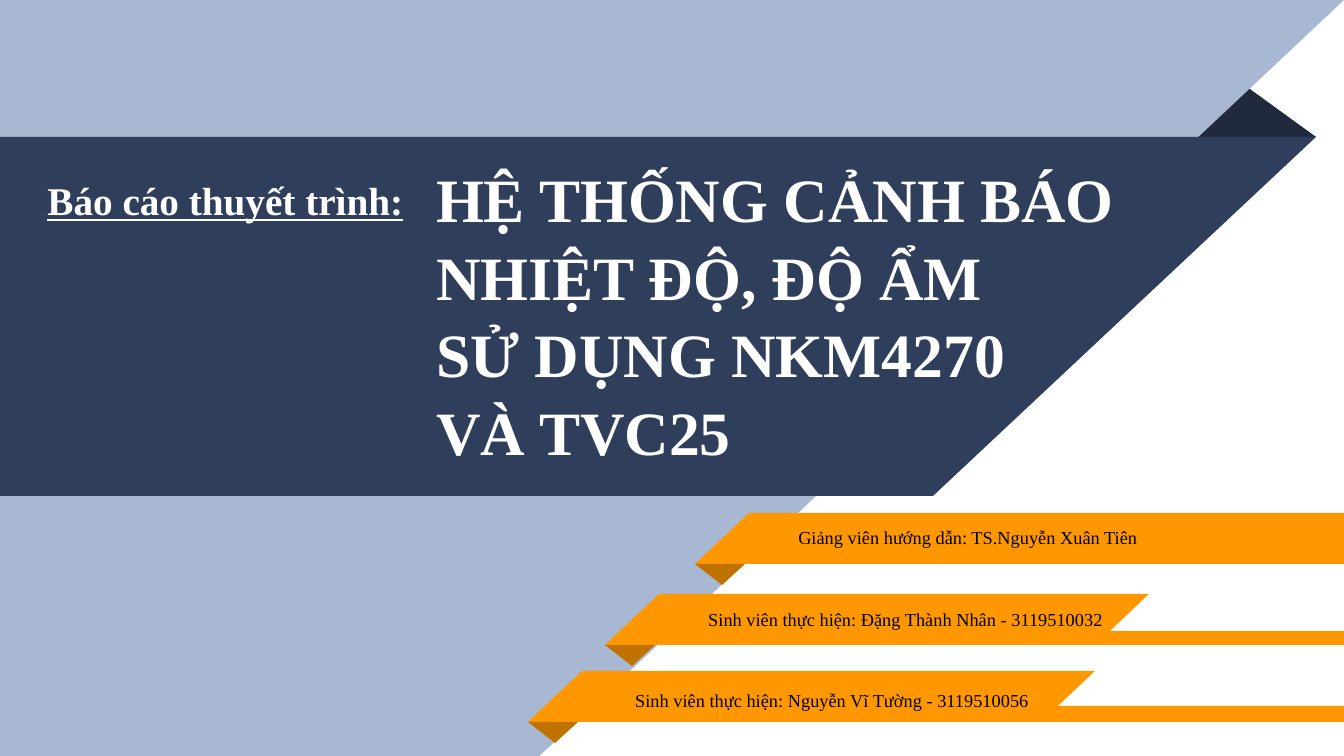
from dataclasses import dataclass

import pptx
import pptx.dml.color
import pptx.enum.shapes
import pptx.enum.text
import pptx.shapes.autoshape
import pptx.slide
import pptx.text.text
import pptx.util

PX = 914400 / 134.4
FONT = "Times New Roman"
COLORS = {
    "sky": "A9B8D2",
    "navy": "2F3E5A",
    "navy_fold": "202A3C",
    "orange": "FF9800",
    "orange_fold": "BF7200",
    "white": "FFFFFF",
    "black": "000000",
}
Point = tuple[int, int]
Box = tuple[int, int, int, int]

BAND_HEIGHT, BAND_LENGTH, BAND_SLANT = 51, 1689, 54
FOLD_WIDTH, FOLD_HEIGHT, FOLD_TIP = 50, 21, 27


@dataclass
class Band:
    """A ribbon; where the tab ends, it narrows by the depth of the step."""
    left: int
    top: int
    caption: str
    caption_box: Box
    tab_end: int = 0
    step: int = 0


BANDS = [
    Band(695, 513, "Giảng viên hướng dẫn: TS.Nguyễn Xuân Tiên", (785, 520, 391, 36)),
    Band(605, 594, "Sinh viên thực hiện: Đặng Thành Nhân - 3119510032",
         (695, 602, 457, 36), 1149, 37),
    Band(528, 671, "Sinh viên thực hiện: Nguyễn Vĩ Tường - 3119510056",
         (622, 683, 457, 36), 1095, 35),
]
TITLE_LINES = ["HỆ THỐNG CẢNH BÁO", "NHIỆT ĐỘ, ĐỘ ẨM", "SỬ DỤNG NKM4270", "VÀ TVC25"]


def px(length: int) -> pptx.util.Emu:
    return pptx.util.Emu(round(length * PX))


def rgb(color: str) -> pptx.dml.color.RGBColor:
    return pptx.dml.color.RGBColor.from_string(COLORS[color])


def paint(shape: pptx.shapes.autoshape.Shape, color: str) -> None:
    shape.fill.solid()
    shape.fill.fore_color.rgb = rgb(color)
    shape.line.fill.background()
    shape.shadow.inherit = False


def add_triangle(slide: pptx.slide.Slide, box: Box, color: str, rotation: int = 0) -> None:
    triangle = slide.shapes.add_shape(
        pptx.enum.shapes.MSO_SHAPE.ISOSCELES_TRIANGLE, *map(px, box))
    triangle.rotation = rotation
    paint(triangle, color)


def add_polygon(slide: pptx.slide.Slide, points: list[Point], color: str) -> None:
    outline = slide.shapes.build_freeform(*points[0], scale=PX)
    outline.add_line_segments(points[1:], close=True)
    paint(outline.convert_to_shape(), color)


def add_run(paragraph: pptx.text.text._Paragraph, text: str, size: float, color: str,
            bold: bool = False, underline: bool = False) -> None:
    run = paragraph.add_run()
    run.text = text
    run.font.name = FONT
    run.font.size = pptx.util.Pt(size)
    run.font.color.rgb = rgb(color)
    run.font.bold = bold
    run.font.underline = underline


def set_insets(frame: pptx.text.text.TextFrame, across: int, down: int) -> None:
    frame.margin_left = frame.margin_right = px(across)
    frame.margin_top = frame.margin_bottom = px(down)


def add_text(slide: pptx.slide.Slide, box: Box) -> pptx.text.text.TextFrame:
    frame = slide.shapes.add_textbox(*map(px, box)).text_frame
    frame.word_wrap = True
    return frame


def place_title(slide: pptx.slide.Slide) -> None:
    title = slide.shapes.title
    title.left, title.top, title.width, title.height = map(px, (427, 188, 1039, 249))
    slide.shapes.element.append(title.element)  # in front of the navy banner
    frame = title.text_frame
    frame.word_wrap = True
    frame.auto_size = pptx.enum.text.MSO_AUTO_SIZE.NONE
    frame.vertical_anchor = pptx.enum.text.MSO_ANCHOR.MIDDLE
    set_insets(frame, 9, 9)
    heading = frame.paragraphs[0]
    heading.alignment = pptx.enum.text.PP_ALIGN.LEFT
    heading.line_spacing = 1.05
    for number, line in enumerate(TITLE_LINES):
        if number:
            heading.add_line_break()
        add_run(heading, line, 33, "white", bold=True)


def add_band(slide: pptx.slide.Slide, band: Band) -> None:
    right, bottom = band.left + BAND_LENGTH, band.top + BAND_HEIGHT
    outline = [(band.left, bottom), (band.left + BAND_SLANT, band.top)]
    if band.step:
        setback = round(band.step * BAND_SLANT / BAND_HEIGHT)
        outline += [(band.tab_end, band.top),
                    (band.tab_end - setback, band.top + band.step)]
    outline += [(right, band.top + band.step), (right, bottom)]
    add_polygon(slide, outline, "orange")
    add_polygon(slide, [(band.left, bottom), (band.left + FOLD_WIDTH, bottom),
                        (band.left + FOLD_TIP, bottom + FOLD_HEIGHT)], "orange_fold")
    caption = add_text(slide, band.caption_box)
    caption.auto_size = pptx.enum.text.MSO_AUTO_SIZE.SHAPE_TO_FIT_TEXT
    add_run(caption.paragraphs[0], band.caption, 9.8, "black")


def add_report_label(slide: pptx.slide.Slide) -> None:
    frame = add_text(slide, (-203, 148, 857, 81))
    frame.vertical_anchor = pptx.enum.text.MSO_ANCHOR.BOTTOM
    set_insets(frame, 9, 5)
    label = frame.paragraphs[0]
    label.alignment = pptx.enum.text.PP_ALIGN.CENTER
    label.line_spacing = 0.9
    add_run(label, "Báo cáo thuyết trình:", 21, "white", bold=True, underline=True)


def main() -> None:
    deck = pptx.Presentation()
    deck.slide_width, deck.slide_height = px(1344), px(756)
    slide = deck.slides.add_slide(deck.slide_layouts[0])
    subtitle = slide.placeholders[1].element
    subtitle.getparent().remove(subtitle)

    add_triangle(slide, (1021, 30, 295, 107), "navy_fold")
    add_triangle(slide, (-857, 0, 2201, 1034), "sky", rotation=180)
    add_polygon(slide, [(-751, 137), (1316, 137), (933, 496), (-368, 496)], "navy")
    place_title(slide)
    for band in BANDS:
        add_band(slide, band)
    add_report_label(slide)
    deck.save("out.pptx")


if __name__ == "__main__":
    main()
